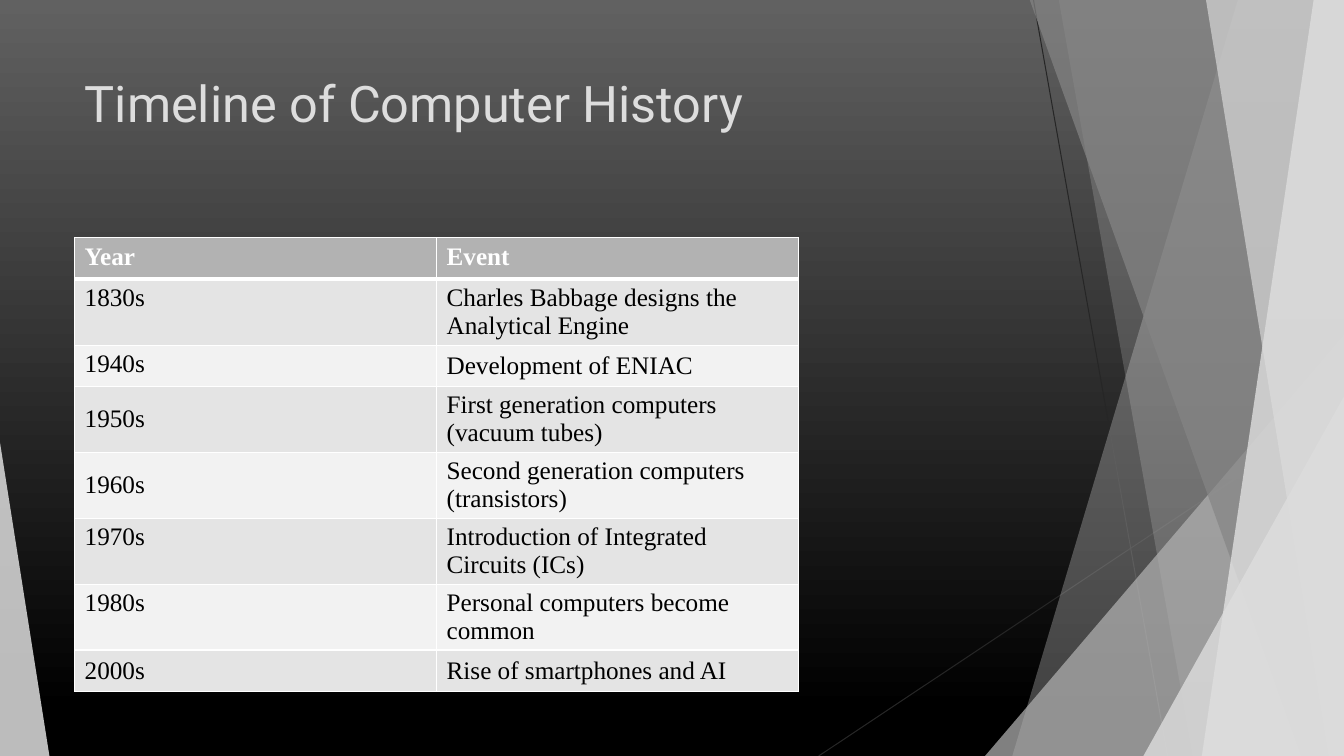
"""Build a slide with a table of milestones in computer history."""
from dataclasses import dataclass

from lxml import etree
from pptx import Presentation
from pptx.dml.color import RGBColor
from pptx.enum.shapes import MSO_CONNECTOR, MSO_SHAPE
from pptx.enum.text import MSO_ANCHOR, PP_ALIGN
from pptx.oxml.ns import qn
from pptx.util import Inches, Pt

STRAIGHT = MSO_CONNECTOR.STRAIGHT
TRIANGLE = MSO_SHAPE.ISOSCELES_TRIANGLE
TOP, MIDDLE = MSO_ANCHOR.TOP, MSO_ANCHOR.MIDDLE
LEFT = PP_ALIGN.LEFT


@dataclass(frozen=True)
class Theme:
    background_top: str = "616161"
    background_bottom: str = "000000"
    light: str = "DDDDDD"
    lightest: str = "EBEBEB"
    medium: str = "B2B2B2"
    dark: str = "858585"
    hairline: str = "262626"
    white: str = "FFFFFF"
    text: str = "000000"
    odd_row: str = "E4E4E4"
    even_row: str = "F2F2F2"
    title_font: str = "Roboto"
    table_font: str = "Times New Roman"
    title_size: int = 36
    table_size: int = 18


def paint(shape, color, opacity):
    shape.shadow.inherit = False
    shape.fill.solid()
    shape.fill.fore_color.rgb = RGBColor.from_string(color)
    shape.line.fill.background()
    color_element = shape.fill._xPr.find(qn("a:solidFill"))[0]
    etree.SubElement(color_element, qn("a:alpha"), val=str(opacity * 1000))


def add_border(cell, side, width):
    properties = cell._tc.get_or_add_tcPr()
    line = etree.SubElement(properties, qn(f"a:ln{side}"), w=str(Pt(width)))
    fill = etree.SubElement(line, qn("a:solidFill"))
    etree.SubElement(fill, qn("a:srgbClr"), val=theme.white)


theme = Theme()
WIDTH, HEIGHT, PANEL_TOP = 13.33, 7.5, -0.01

presentation = Presentation()
presentation.slide_width = Inches(WIDTH)
presentation.slide_height = Inches(HEIGHT)
slide = presentation.slides.add_slide(presentation.slide_layouts[5])

background = slide.background.fill
background.gradient()
background.gradient_angle = 270
stops = [(0, theme.background_top), (0.94, theme.background_bottom)]
for stop, (position, color) in zip(background.gradient_stops, stops):
    stop.position = position
    stop.color.rgb = RGBColor.from_string(color)

for ends in [(10.25, 0, 11.58, HEIGHT), (WIDTH, 4.03, 8.12, HEIGHT)]:
    hairline = slide.shapes.add_connector(STRAIGHT, *map(Inches, ends))
    hairline.line.color.rgb = RGBColor.from_string(theme.hairline)
    hairline.line.width = Pt(0.75)
    etree.SubElement(hairline._element.spPr, qn("a:effectLst"))

# Panels give their left edge at top and bottom; triangles give left, top, width and apex.
facets = [
    ((12.28, 10.04), theme.light, 30),
    ((10.5, 11.83), theme.light, 20),
    ((9.77, 3.33, 3.56, 1), theme.medium, 72),
    ((10.21, 12.91), theme.dark, 70),
    ((13.03, 11.92), theme.lightest, 70),
    ((11.96, 13.18), theme.light, 65),
    ((11.34, 3.93, 1.99, 1), theme.light, 80),
    ((0, 4.39, 0.49, 0), theme.light, 85),
]
for geometry, color, opacity in facets:
    if len(geometry) == 2:
        top_x, bottom_x = geometry
        builder = slide.shapes.build_freeform(Inches(top_x), Inches(PANEL_TOP))
        corners = [(WIDTH, PANEL_TOP), (WIDTH, HEIGHT), (bottom_x, HEIGHT)]
        builder.add_line_segments([(Inches(x), Inches(y)) for x, y in corners])
        facet = builder.convert_to_shape()
    else:
        left, top, width, apex = geometry
        box = map(Inches, (left, top, width, HEIGHT - top))
        facet = slide.shapes.add_shape(TRIANGLE, *box)
        facet.adjustments[0] = apex
    paint(facet, color, opacity)

title = slide.shapes.title
title.left, title.top = Inches(0.74), Inches(0.67)
title.width, title.height = Inches(9.4), Inches(1.44)
title.text_frame.text = "Timeline of Computer History"
title.text_frame.vertical_anchor = TOP
title_paragraph = title.text_frame.paragraphs[0]
title_paragraph.alignment = LEFT
title_font = title_paragraph.runs[0].font
title_font.name = theme.title_font
title_font.size = Pt(theme.title_size)
title_font.color.rgb = RGBColor.from_string(theme.light)

SINGLE, DOUBLE = 0.41, 0.65
milestones = [
    ("Year", "Event", SINGLE, TOP, TOP),
    ("1830s", "Charles Babbage designs the Analytical Engine", DOUBLE, TOP, MIDDLE),
    ("1940s", "Development of ENIAC", SINGLE, TOP, MIDDLE),
    ("1950s", "First generation computers (vacuum tubes)", DOUBLE, MIDDLE, MIDDLE),
    ("1960s", "Second generation computers (transistors)", DOUBLE, MIDDLE, MIDDLE),
    ("1970s", "Introduction of Integrated Circuits (ICs)", DOUBLE, TOP, MIDDLE),
    ("1980s", "Personal computers become common", DOUBLE, TOP, MIDDLE),
    ("2000s", "Rise of smartphones and AI", SINGLE, MIDDLE, MIDDLE),
]
table_height = sum(milestone[2] for milestone in milestones)
table = slide.shapes.add_table(
    len(milestones), 2, Inches(0.74), Inches(2.36), Inches(7.18), Inches(table_height)
).table
for row_index, (year, event, height, *anchors) in enumerate(milestones):
    table.rows[row_index].height = Inches(height)
    is_header = row_index == 0
    if is_header:
        fill_color = theme.medium
    else:
        fill_color = theme.odd_row if row_index % 2 else theme.even_row
    for column_index, text in enumerate((year, event)):
        cell = table.cell(row_index, column_index)
        cell.text_frame.text = text
        cell.vertical_anchor = anchors[column_index]
        for side in "LRTB":
            under_header = (row_index, side) in [(0, "B"), (1, "T")]
            add_border(cell, side, 3 if under_header else 1)
        cell.fill.solid()
        cell.fill.fore_color.rgb = RGBColor.from_string(fill_color)
        font = cell.text_frame.paragraphs[0].runs[0].font
        font.name = theme.table_font
        font.size = Pt(theme.table_size)
        font.bold = is_header
        font.color.rgb = RGBColor.from_string(theme.white if is_header else theme.text)

presentation.save("out.pptx")
